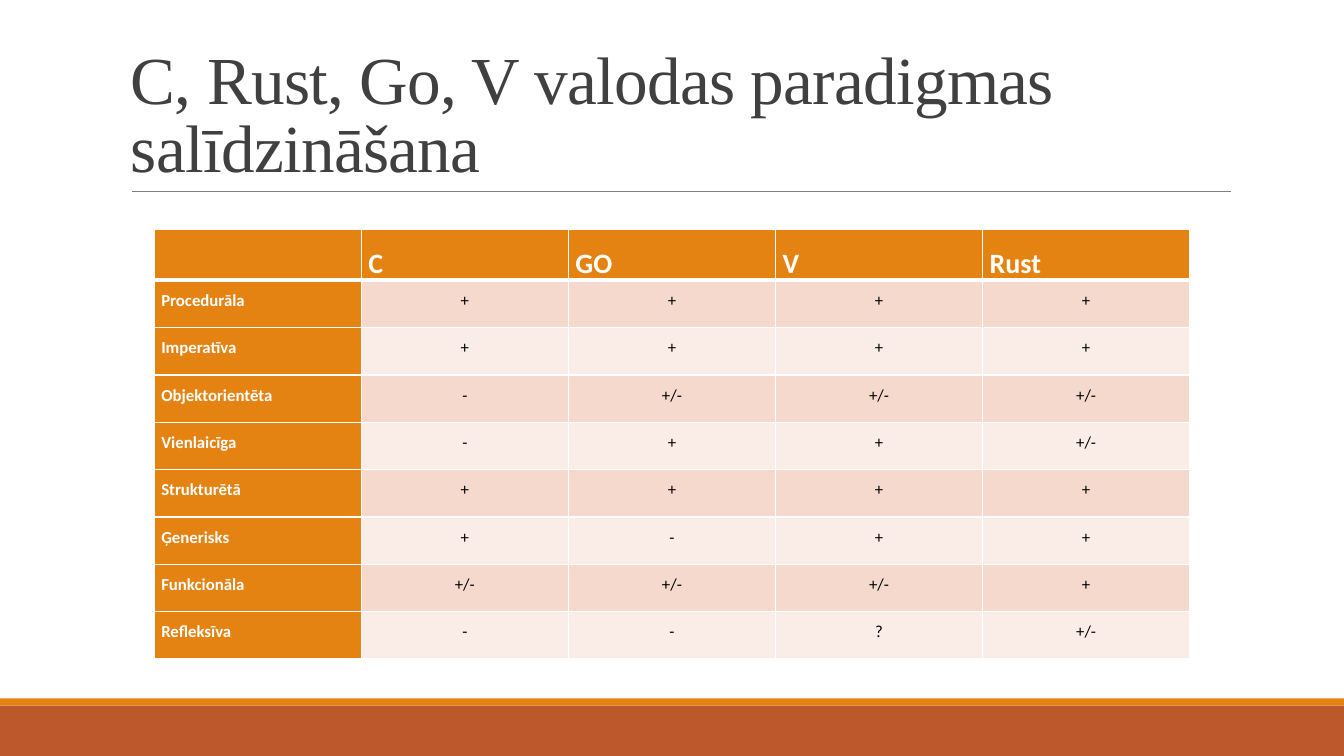
from lxml.etree import SubElement
from pptx import Presentation
from pptx.dml.color import RGBColor
from pptx.enum.shapes import MSO_CONNECTOR as Connector, MSO_SHAPE as Shape
from pptx.enum.text import MSO_ANCHOR as Anchor, PP_ALIGN as Align
from pptx.oxml.ns import qn
from pptx.util import Inches, Pt

ORANGE = RGBColor(0xE4, 0x83, 0x12)
RUST_RED = RGBColor(0xBD, 0x58, 0x2C)
DARK_BAND = RGBColor(0xF5, 0xD9, 0xCC)
LIGHT_BAND = RGBColor(0xFA, 0xED, 0xE7)
DARK_GRAY = RGBColor(0x40, 0x40, 0x40)
GRAY = RGBColor(0x80, 0x80, 0x80)
WHITE = RGBColor(0xFF, 0xFF, 0xFF)
BLACK = RGBColor(0, 0, 0)

LANGUAGES = ["", "C", "GO", "V", "Rust"]
PARADIGMS = [
    ["Procedurāla", "+", "+", "+", "+"],
    ["Imperatīva", "+", "+", "+", "+"],
    ["Objektorientēta", "-", "+/-", "+/-", "+/-"],
    ["Vienlaicīga", "-", "+", "+", "+/-"],
    ["Strukturētā", "+", "+", "+", "+"],
    ["Ģenerisks", "+", "-", "+", "+"],
    ["Funkcionāla", "+/-", "+/-", "+/-", "+"],
    ["Refleksīva", "-", "-", "?", "+/-"],
]


def add_span(para, text, font_name, size, color, bold=False):
    span = para.add_run()
    span.text = text
    span.font.name = font_name
    span.font.size = Pt(size)
    span.font.color.rgb = color
    span.font.bold = bold
    return span


def add_band(page, top, height, color):
    band = page.shapes.add_shape(
        Shape.RECTANGLE, 0, Inches(top), Inches(13.33), Inches(height))
    band.shadow.inherit = False
    band.fill.solid()
    band.fill.fore_color.rgb = color
    band.line.fill.background()


def add_rule(page, left, right, top):
    rule = page.shapes.add_connector(
        Connector.STRAIGHT, Inches(left), Inches(top), Inches(right), Inches(top))
    rule.line.color.rgb = GRAY
    rule.line.width = Pt(0.5)
    SubElement(rule._element.spPr, qn("a:effectLst"))


def add_title(page, text):
    box = page.shapes.add_textbox(
        Inches(1.2), Inches(0.31), Inches(11), Inches(1.59))
    box.text_frame.word_wrap = True
    box.text_frame.vertical_anchor = Anchor.BOTTOM
    para = box.text_frame.paragraphs[0]
    para.line_spacing = 0.85
    span = add_span(para, text, "Times New Roman", 48, DARK_GRAY)
    span.font._element.set("spc", "-50")


def set_borders(cell, top, bottom):
    properties = cell._tc.get_or_add_tcPr()
    for side, width in (("L", 1), ("R", 1), ("T", top), ("B", bottom)):
        border = SubElement(properties, qn(f"a:ln{side}"), w=str(Pt(width)))
        fill = SubElement(border, qn("a:solidFill"))
        SubElement(fill, qn("a:srgbClr"), val=str(WHITE))


def fill_cell(cell, text, row, column):
    is_header = row == 0
    is_label = is_header or column == 0
    set_borders(cell, 3 if row == 1 else 1, 3 if is_header else 1)
    cell.fill.solid()
    band = DARK_BAND if row % 2 else LIGHT_BAND
    cell.fill.fore_color.rgb = ORANGE if is_label else band
    cell.margin_left = cell.margin_right = Inches(0.07)
    cell.margin_top = cell.margin_bottom = 0
    if not text:
        return
    para = cell.text_frame.paragraphs[0]
    para.alignment = Align.JUSTIFY if is_label else Align.CENTER
    para.line_spacing = 1.5
    add_span(para, text, "Calibri", 20 if is_header else 12,
             WHITE if is_label else BLACK, is_label)


def add_comparison(page):
    rows = [LANGUAGES] + PARADIGMS
    table = page.shapes.add_table(
        len(rows), len(LANGUAGES), Inches(1.53), Inches(2.28),
        Inches(10.27), Inches(4.18)).table
    for column in table.columns:
        column.width = Inches(10.27 / len(LANGUAGES))
    for row, texts in enumerate(rows):
        table.rows[row].height = Inches(0.47 if row else 0.38)
        for column, text in enumerate(texts):
            fill_cell(table.cell(row, column), text, row, column)


def main():
    deck = Presentation()
    deck.slide_width = Inches(13.33)
    deck.slide_height = Inches(7.5)
    page = deck.slides.add_slide(deck.slide_layouts[6])
    add_band(page, 7, 0.5, RUST_RED)
    add_band(page, 6.93, 0.07, ORANGE)
    add_rule(page, 1.31, 12.21, 1.9)
    add_title(page, "C, Rust, Go, V valodas paradigmas salīdzināšana")
    add_comparison(page)
    deck.save("out.pptx")


if __name__ == "__main__":
    main()
